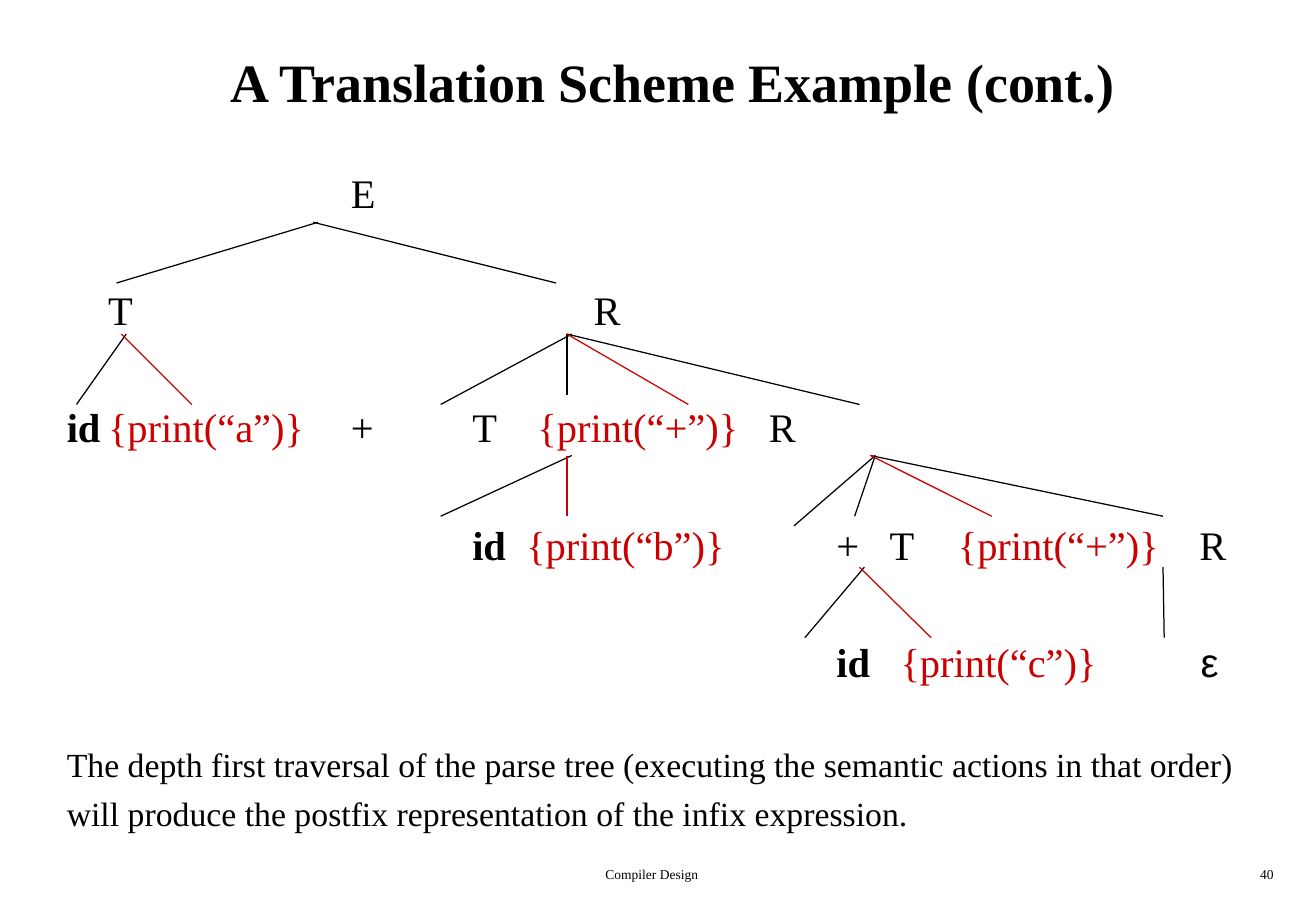
from lxml.etree import SubElement
from pptx import Presentation
from pptx.dml.color import RGBColor
from pptx.enum.shapes import MSO_CONNECTOR
from pptx.enum.text import MSO_ANCHOR, MSO_AUTO_SIZE, PP_ALIGN
from pptx.oxml.ns import qn
from pptx.util import Inches, Pt

COLORS = {"text": "000000", "action": "CC0000", "background": "FFFFFF"}
FONT = "Times New Roman"

# Each label: tab stops to advance, gap in points, text, format
ACTION = {"color": "action"}
BOLD = {"bold": True}
TREE_ROWS = [
    [(3, 0, "E", {})],
    [(1, 0, "T", {}), (4, 0, "R", {})],
    [(0, 0, "id", BOLD), (1, 0, "{print(“a”)}", ACTION), (1, 0, "+", {}),
     (1, 6, "T", {}), (0, 24, "{print(“+”)}", ACTION), (0, 18, "R", {})],
    [(4, 0, "id", BOLD), (0, 12, "{print(“b”)}", ACTION), (1, 0, "+", {}),
     (0, 18, "T", {}), (1, 0, "{print(“+”)}", ACTION), (0, 24, "R", {})],
    [(7, 0, "id", BOLD), (0, 18, "{print(“c”)}", ACTION),
     (1, 0, "ε", {"font": "Arial"})],
]
SPACE_WIDTH = 6  # one space at 24 points
SUMMARY = [
    ("The depth first traversal of the parse tree "
     "(executing the semantic actions in that order)", 34.2),
    ("will produce the postfix representation of the infix expression.", 5),
]

# Each branch level: top, then (start x, end x, end y) by colour
BRANCHES = [
    (1.83, {"text": [(2.62, 0.96, 2.33), (2.58, 4.58, 2.33)]}),
    (2.75, {"text": [(1.04, 0.63, 3.33), (4.71, 3.63, 3.33),
                     (4.67, 4.67, 3.25), (4.67, 7.08, 3.33)],
            "action": [(1, 1.58, 3.33), (4.67, 5.67, 3.33)]}),
    (3.75, {"text": [(4.71, 3.63, 4.25), (7.21, 6.54, 4.33),
                     (7.21, 7.04, 4.25), (7.17, 9.58, 4.25)],
            "action": [(4.67, 4.67, 4.25), (7.17, 8.17, 4.25)]}),
    (4.67, {"text": [(7.12, 6.63, 5.25), (9.58, 9.59, 5.25)],
            "action": [(7.08, 7.67, 5.25)]}),
]


def add_run(p, text, size=24, bold=False, color="text", font=FONT, spacing=0):
    r = p.add_run()
    r.text = text
    r.font.size = Pt(size)
    r.font.bold = bold
    r.font.name = font
    r.font.color.rgb = RGBColor.from_string(COLORS[color])
    if spacing:
        r.font._element.set("spc", str(spacing * 100))


def place(sp, left, top, width, height, anchor=MSO_ANCHOR.TOP):
    sp.left, sp.top = Inches(left), Inches(top)
    sp.width, sp.height = Inches(width), Inches(height)
    tf = sp.text_frame
    tf.word_wrap = True
    tf.auto_size = MSO_AUTO_SIZE.NONE
    tf.vertical_anchor = anchor
    return tf


def add_body_paragraph(tf, first=False, space=0):
    p = tf.paragraphs[0] if first else tf.add_paragraph()
    p.alignment = PP_ALIGN.LEFT
    p.space_before = Pt(space)
    p.space_after = Pt(0)
    pPr = p._p.get_or_add_pPr()
    for name, inches in (("marL", 0.37), ("indent", -0.34), ("defTabSz", 1)):
        pPr.set(name, str(int(Inches(inches))))
    SubElement(pPr, qn("a:buNone"))
    return p


def add_tree_row(tf, labels, first):
    p = add_body_paragraph(tf, first, 0 if first else 40.8)
    for tabs, gap, text, style in labels:
        if gap:
            add_run(p, " ", spacing=gap - SPACE_WIDTH)
        add_run(p, "\t" * tabs + text, **style)


def add_footer(s, text, left, width, align):
    sp = s.shapes.add_textbox(0, 0, 0, 0)
    p = place(sp, left, 7.08, width, 0.25).paragraphs[0]
    p.alignment = align
    add_run(p, text, size=8)


def add_branch(s, x1, y1, x2, y2, color):
    line = s.shapes.add_connector(MSO_CONNECTOR.STRAIGHT, Inches(x1),
                                  Inches(y1), Inches(x2), Inches(y2))
    line.line.color.rgb = RGBColor.from_string(COLORS[color])
    line.line.width = Pt(0.74)
    SubElement(line._element.spPr, qn("a:effectLst"))


def main():
    prs = Presentation()
    prs.slide_width, prs.slide_height = Inches(10.84), Inches(7.5)
    s = prs.slides.add_slide(prs.slide_layouts[1])
    s.background.fill.solid()
    s.background.fill.fore_color.rgb = RGBColor.from_string(COLORS["background"])

    # Title
    tf = place(s.shapes.title, 0.42, 0.17, 10.25, 1, MSO_ANCHOR.MIDDLE)
    tf.paragraphs[0].alignment = PP_ALIGN.CENTER
    add_run(tf.paragraphs[0], "A Translation Scheme Example (cont.)",
            size=32, bold=True)

    # Parse tree labels and summary
    tf = place(s.placeholders[1], 0.42, 1.33, 10.25, 5.58)
    for i, labels in enumerate(TREE_ROWS):
        add_tree_row(tf, labels, first=i == 0)
    for text, space in SUMMARY:
        add_run(add_body_paragraph(tf, space=space), text, size=20)

    # Parse tree branches
    for top, groups in BRANCHES:
        for color, ends in groups.items():
            for x1, x2, y2 in ends:
                add_branch(s, x1, top, x2, y2, color)

    # Footer and page number
    add_footer(s, "Compiler Design", 3.34, 4.06, PP_ALIGN.CENTER)
    add_footer(s, "40", 8.33, 2.26, PP_ALIGN.RIGHT)

    prs.save("out.pptx")


main()
